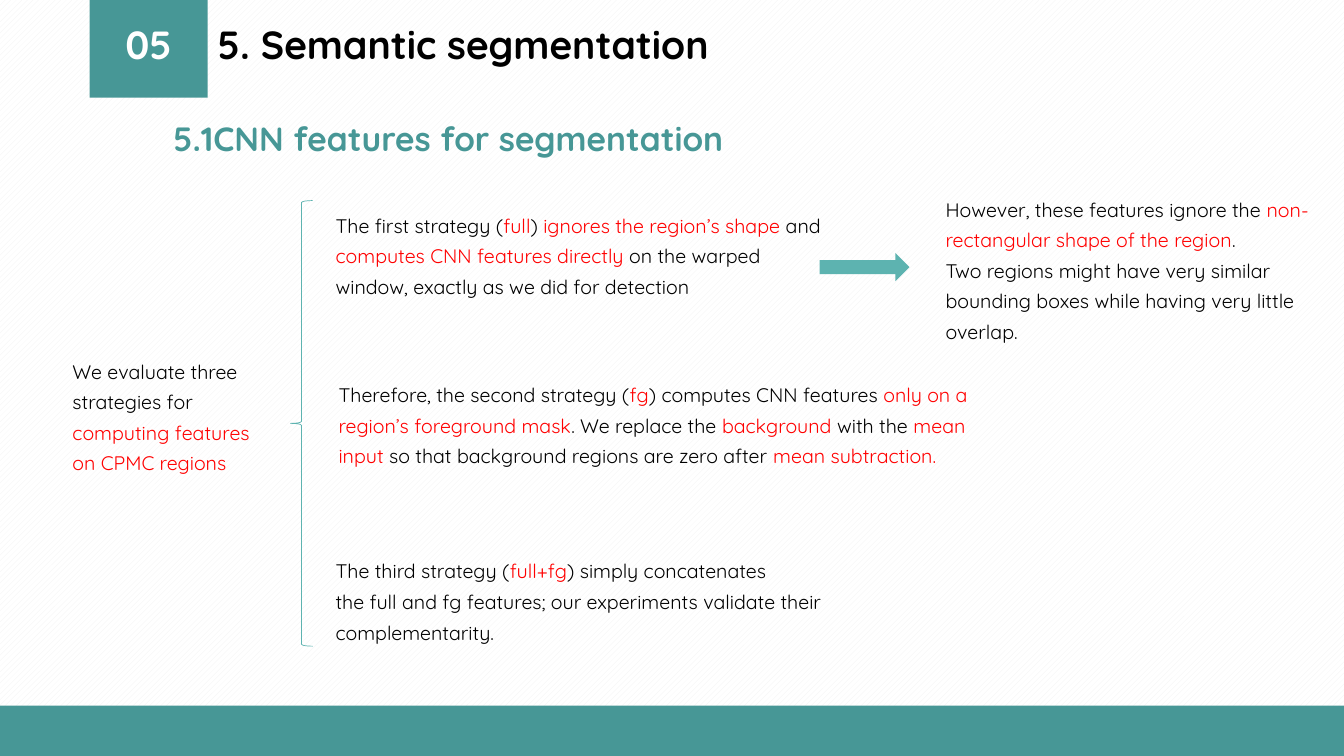
from dataclasses import dataclass

from pptx import Presentation
from pptx.dml.color import RGBColor
from pptx.enum.dml import MSO_PATTERN
from pptx.enum.shapes import MSO_SHAPE as SHAPE
from pptx.enum.text import MSO_ANCHOR as ANCHOR, MSO_AUTO_SIZE as AUTO, PP_ALIGN as ALIGN
from pptx.util import Inches, Pt

TEAL = RGBColor(0x47, 0x97, 0x96)
LIGHT_TEAL = RGBColor(0x5D, 0xB3, 0xB0)
RED = RGBColor(0xFF, 0x00, 0x00)
BLACK = RGBColor(0x00, 0x00, 0x00)
WHITE = RGBColor(0xFF, 0xFF, 0xFF)
STRIPE = RGBColor(0xF2, 0xF2, 0xF2)
FONT = "Quicksand"

Box = tuple[float, float, float, float]


@dataclass
class Block:
    """Solid shape without outline."""
    kind: SHAPE
    box: Box
    color: RGBColor


@dataclass
class Label:
    """One-line heading."""
    text: str
    box: Box
    size: int
    color: RGBColor
    align: ALIGN = ALIGN.LEFT
    spacing: float = 1.0


@dataclass
class Note:
    """Body text; every second part between bars is red."""
    box: Box
    paragraphs: list[str]


BLOCKS = [
    Block(SHAPE.RECTANGLE, (0.89, 0, 1.17, 0.97), TEAL),
    Block(SHAPE.RECTANGLE, (0, 7, 13.33, 0.5), TEAL),
    Block(SHAPE.RIGHT_ARROW, (8.13, 2.51, 0.89, 0.28), LIGHT_TEAL),
]
LABELS = [
    Label("05", (0.89, 0.23, 1.17, 0.47), 28, WHITE, ALIGN.CENTER, 0.9),
    Label("5. Semantic segmentation", (2.06, 0.23, 9.17, 0.47), 28, BLACK, spacing=0.9),
    Label("5.1CNN features for segmentation", (1.62, 1.12, 5.89, 0.5), 24, TEAL),
]
NOTES = [
    Note((0.62, 3.45, 2.12, 1.33), [
        "We evaluate three strategies for |computing features on CPMC regions"]),
    Note((3.23, 2, 5.15, 1.02), [
        "The first strategy (|full|) |ignores the region’s shape| and",
        "|computes CNN features directly |on the warped",
        "window, exactly as we did for detection"]),
    Note((3.26, 3.68, 6.63, 1.33), [
        "Therefore, the second strategy (|fg|) computes CNN features "
        "|only on a region’s foreground mask|. We replace the |background| with the "
        "|mean input |so that background regions are zero after |mean subtraction."]),
    Note((3.23, 5.43, 6.2, 1.02), [
        "The third strategy (|full+fg|) simply concatenates",
        "the full and fg features; our experiments validate their complementarity."]),
    Note((9.28, 1.84, 3.88, 1.63), [
        "However, these features ignore the |non-rectangular shape of the region|.",
        "Two regions might have very similar bounding boxes while having very little overlap."]),
]


def add_shape(slide, kind: SHAPE, box: Box):
    sp = slide.shapes.add_shape(kind, *map(Inches, box))
    sp.shadow.inherit = False
    return sp


def add_block(slide, block: Block) -> None:
    sp = add_shape(slide, block.kind, block.box)
    sp.fill.solid()
    sp.fill.fore_color.rgb = block.color
    sp.line.fill.background()


def add_frame(slide, box: Box, **formats):
    tf = slide.shapes.add_textbox(*map(Inches, box)).text_frame
    for name, value in ({"word_wrap": True} | formats).items():
        setattr(tf, name, value)
    return tf


def add_run(p, text: str, color: RGBColor, **formats) -> None:
    r = p.add_run()
    r.text = text
    for name, value in ({"name": FONT} | formats).items():
        setattr(r.font, name, value)
    r.font.color.rgb = color


def add_label(slide, label: Label) -> None:
    tf = add_frame(slide, label.box, vertical_anchor=ANCHOR.MIDDLE)
    p = tf.paragraphs[0]
    p.alignment, p.line_spacing = label.align, label.spacing
    add_run(p, label.text, label.color, size=Pt(label.size), bold=True)


def add_note(slide, note: Note) -> None:
    tf = add_frame(slide, note.box, auto_size=AUTO.SHAPE_TO_FIT_TEXT)
    for i, text in enumerate(note.paragraphs):
        p = tf.add_paragraph() if i else tf.paragraphs[0]
        p.line_spacing = 1.3
        for j, part in enumerate(text.split("|")):
            if part:
                add_run(p, part, RED if j % 2 else BLACK, size=Pt(14))


def main() -> None:
    prs = Presentation()
    prs.slide_width, prs.slide_height = Inches(13.33), Inches(7.5)
    slide = prs.slides.add_slide(prs.slide_layouts[6])

    # Striped background
    fill = slide.background.fill
    fill.patterned()
    fill.pattern = MSO_PATTERN.WIDE_UPWARD_DIAGONAL
    fill.fore_color.rgb, fill.back_color.rgb = STRIPE, WHITE

    # Header tab, footer bar and arrow
    for block in BLOCKS:
        add_block(slide, block)

    # Brace joining the three strategies
    brace = add_shape(slide, SHAPE.LEFT_BRACE, (2.88, 1.99, 0.22, 4.42))
    brace.fill.background()
    brace.line.color.rgb, brace.line.width = LIGHT_TEAL, Pt(0.5)

    # Headings and body text
    for label in LABELS:
        add_label(slide, label)
    for note in NOTES:
        add_note(slide, note)

    prs.save("out.pptx")


if __name__ == "__main__":
    main()
